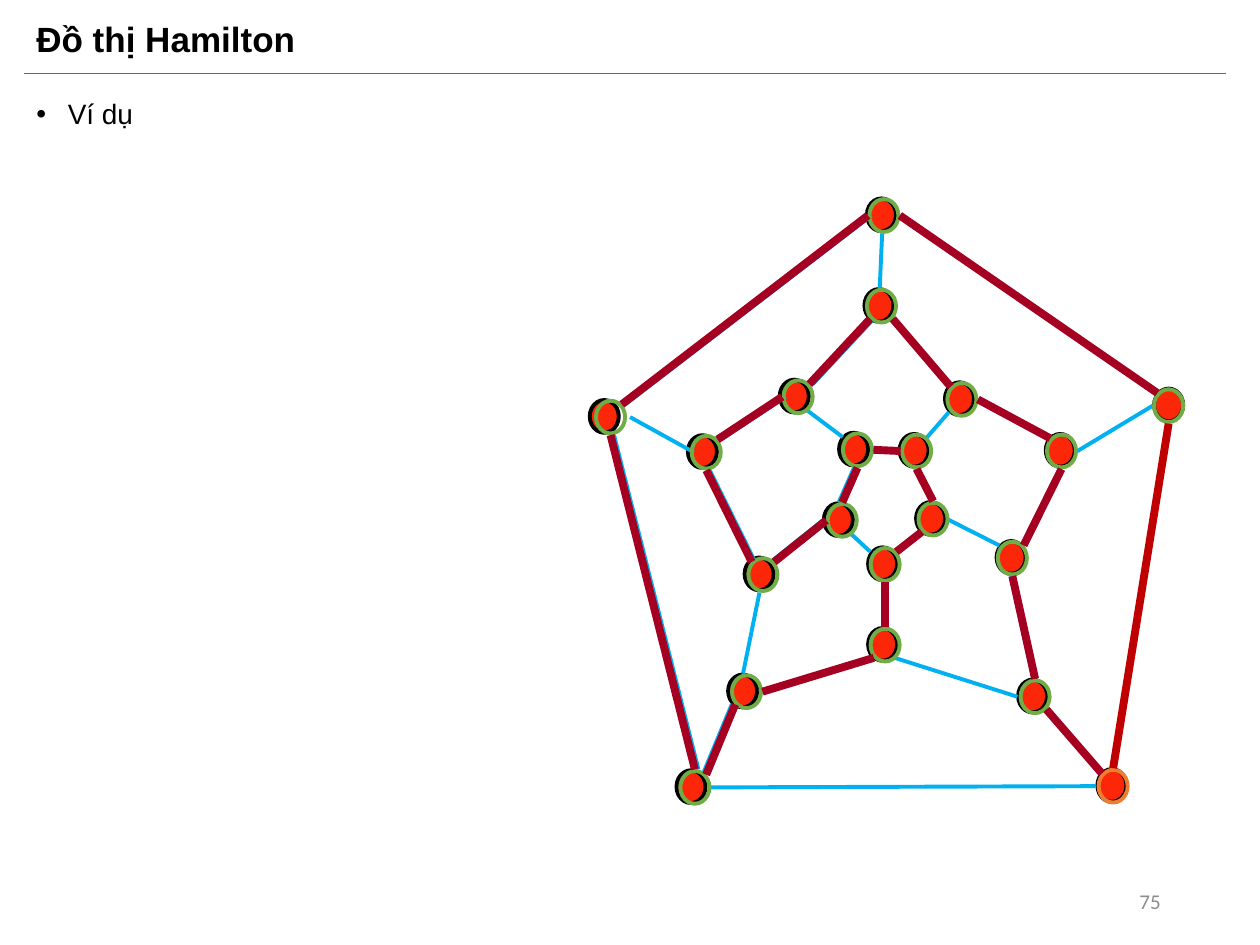
"""Build the Hamilton graph slide: a dodecahedral graph with its cycle highlighted."""
from math import cos, sin, radians

from lxml.etree import SubElement
from pptx import Presentation
from pptx.dml.color import RGBColor
from pptx.enum.shapes import MSO_CONNECTOR as CONN, MSO_SHAPE as SHAPE
from pptx.enum.text import MSO_ANCHOR as ANCHOR, PP_ALIGN as ALIGN
from pptx.oxml.ns import qn
from pptx.util import Pt

THEME = dict(
    text="000000", muted="8C8C8C", rule="666666", node="FC2708",
    outline="000000", ring="70AD47", start="ED7D31", edge="00B0F0",
    cycle="A50021", closing="C00000",
    heading=20, body=16, number=12, font="Arial", number_font="Calibri",
    rule_w=0.5, edge_w=2.25, cycle_w=4.5,
)

NODE_W, NODE_H = 16.6, 18.7
REACH = 1.1
ANGLES = {"E": 0, "SE": 45, "S": 90, "SW": 135, "W": 180, "NW": 225, "N": 270, "NE": 315}

# name: ring left, ring top, shift of the disc beneath it
NODES = {
    "O1": (496.8, 113.8, -1.4), "O5": (340.6, 229, -3.6), "O2": (659.5, 222.5, 0),
    "M1": (495.4, 165.6, -1.4), "M3": (598.3, 248.4, -0.7), "M9": (395.3, 249.1, -2.2),
    "M2": (541.4, 218.9, -1.4), "M10": (447.8, 217.4, -2.2), "O4": (388.8, 440.6, -2.2),
    "O3": (627.8, 439.9, -0.7), "M8": (427.7, 319, -2.2), "M4": (570.2, 309.6, -0.7),
    "I2": (524.9, 287.3, -1.4), "M5": (583.2, 388.8, -1.4), "M7": (418.3, 385.9, -2.2),
    "I5": (481.7, 247.7, -2.2), "I1": (515.5, 248.4, -1.4), "I3": (497.5, 313.2, -1.4),
    "M6": (497.5, 359.3, -1.4), "I4": (473, 288, -2.2),
}

CYCLE_EDGES = [
    ("O5", "NE", "O1", "W", 2), ("O2", "NW", "O1", "E", -1),
    ("M10", "NE", "M1", "SW", 2), ("M2", "NW", "M1", "SE", -1),
    ("M9", "NE", "M10", "W", 2), ("M3", "NW", "M2", "E", -1),
    ("M8", "NW", "M9", "S", 2), ("M4", "NE", "M3", "S", -1),
    ("M5", "N", "M4", "S", -1), ("M7", "E", "M6", "SW", -2),
    ("O5", "S", "O4", "N", 2), ("O3", "N", "O2", "S", 0),
    ("M8", "NE", "I4", "W", -2), ("I3", "S", "M6", "N", -1),
    ("I4", "N", "I5", "S", -2), ("I2", "N", "I1", "S", -1),
    ("I3", "NE", "I2", "SW", -1), ("I5", "E", "I1", "W", -1),
    ("O4", "NE", "M7", "SW", -2), ("O3", "NW", "M5", "SE", -1),
]
OTHER_EDGES = [
    ("O1", "S", "M1", "N", -1), ("M7", "N", "M8", "S", -2),
    ("M5", "W", "M6", "SE", -1), ("O4", "E", "O3", "W", -1),
    ("M10", "SE", "I5", "NW", -2), ("M2", "SW", "I1", "NE", -1),
    ("I2", "E", "M4", "NW", -1), ("I4", "SE", "I3", "NW", -2),
    ("O5", "E", "M9", "W", 2), ("M3", "E", "O2", "W", 0),
]


def rgb(name):
    return RGBColor.from_string(THEME[name])


def add_text(s, text, box, size, font="font", color="text", bold=False,
             align=ALIGN.LEFT, anchor=ANCHOR.MIDDLE, spacing=None, bullet=False):
    tf = s.shapes.add_textbox(*map(Pt, box)).text_frame
    tf.word_wrap, tf.vertical_anchor = True, anchor
    p = tf.paragraphs[0]
    p.alignment, p.line_spacing = align, spacing
    if bullet:
        p.space_before = Pt(10)
        pPr = p._p.get_or_add_pPr()
        pPr.set("marL", str(Pt(18)))
        pPr.set("indent", str(Pt(-18)))
        SubElement(pPr, qn("a:buFont")).set("typeface", "Arial")
        SubElement(pPr, qn("a:buChar")).set("char", "•")
    r = p.add_run()
    r.text = text
    r.font.name, r.font.size, r.font.bold = THEME[font], Pt(THEME[size]), bold
    r.font.color.rgb = rgb(color)


def add_line(s, start, end, color, width):
    c = s.shapes.add_connector(CONN.STRAIGHT, *map(Pt, (*start, *end)))
    c.line.color.rgb, c.line.width = rgb(color), Pt(THEME[width])
    SubElement(c._element.spPr, qn("a:effectLst"))


def add_node(s, x, y, line, fill=None):
    sp = s.shapes.add_shape(SHAPE.OVAL, *map(Pt, (x, y, NODE_W, NODE_H)))
    sp.shadow.inherit = False
    sp.line.color.rgb, sp.line.width = rgb(line), Pt(THEME["edge_w"])
    if fill:
        sp.fill.solid()
        sp.fill.fore_color.rgb = rgb(fill)
    else:
        sp.fill.background()


def site(node, side, dx=0):
    x, y, _ = NODES[node]
    a = radians(ANGLES[side])
    return (x + NODE_W / 2 * (1 + REACH * cos(a)) + dx,
            y + NODE_H / 2 * (1 + REACH * sin(a)))


def draw_graph(s):
    for x, y, shift in NODES.values():
        add_node(s, x + shift, y - 0.4, "outline", "node")
    for a, side_a, b, side_b, dx in CYCLE_EDGES + OTHER_EDGES:
        add_line(s, site(a, side_a, dx), site(b, side_b, dx), "edge", "edge_w")
    for name, (x, y, _) in NODES.items():
        add_node(s, x, y, "start" if name == "O3" else "ring")
    for a, side_a, b, side_b, _ in CYCLE_EDGES:
        color = "closing" if (a, b) == ("O3", "O2") else "cycle"
        add_line(s, site(a, side_a), site(b, side_b), color, "cycle_w")


def main():
    prs = Presentation()
    prs.slide_width, prs.slide_height = Pt(720), Pt(540)
    s = prs.slides.add_slide(prs.slide_layouts[6])
    add_text(s, "75", (508.3, 500.4, 162, 28.8), "number", font="number_font",
             color="muted", align=ALIGN.RIGHT)
    add_text(s, "Đồ thị Hamilton", (13.7, 5.8, 620.6, 36), "heading", bold=True, spacing=0.9)
    add_line(s, (13.7, 41.8), (700.6, 41.8), "rule", "rule_w")
    add_text(s, "Ví dụ", (13.7, 54, 686.9, 432.7), "body", anchor=ANCHOR.TOP,
             spacing=0.9, bullet=True)
    draw_graph(s)
    prs.save("out.pptx")


if __name__ == "__main__":
    main()
